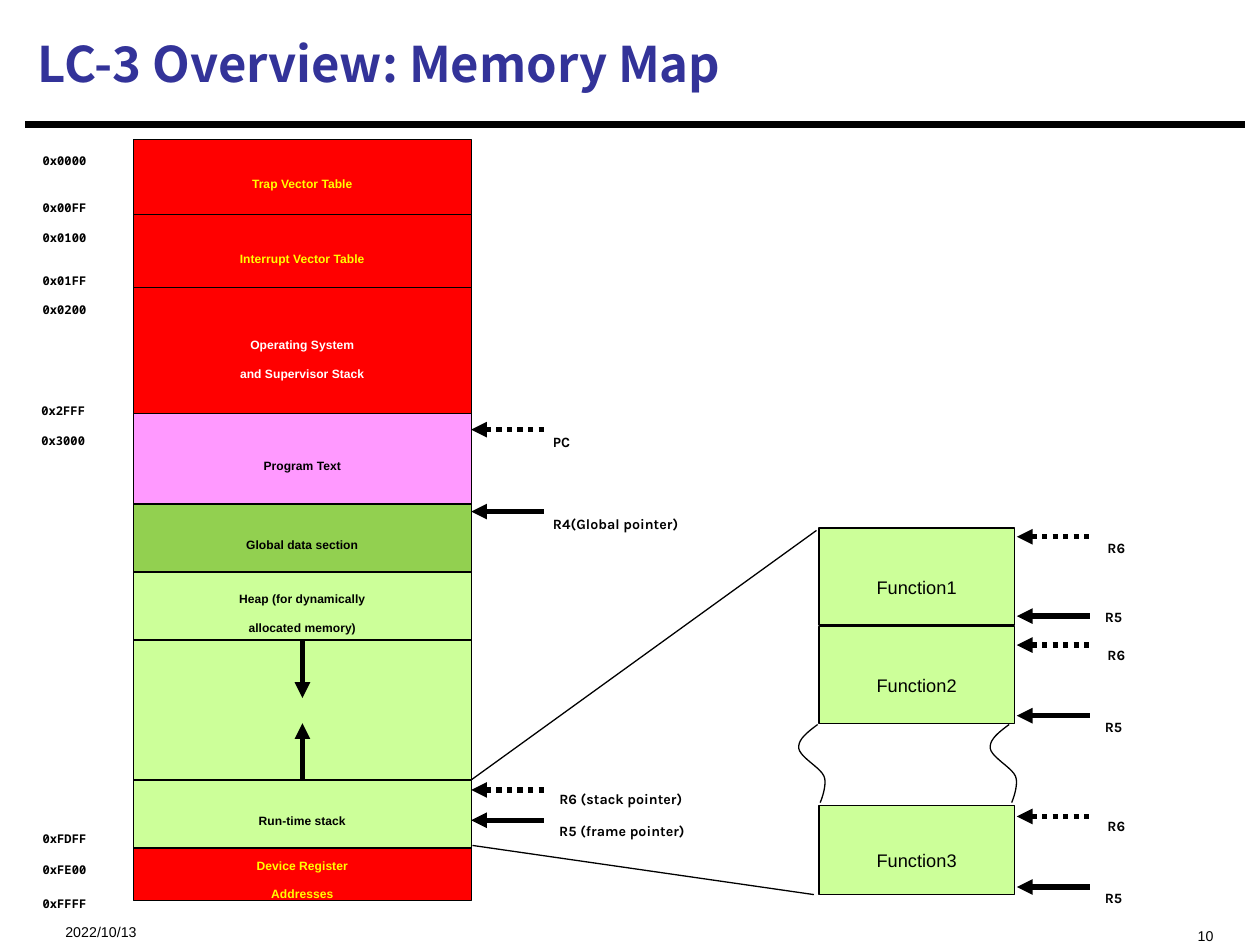
"""Build the LC-3 memory map slide."""
from lxml.etree import SubElement
from pptx import Presentation
from pptx.dml.color import RGBColor
from pptx.enum.dml import MSO_LINE
from pptx.enum.shapes import MSO_CONNECTOR, MSO_SHAPE
from pptx.enum.text import MSO_ANCHOR, MSO_AUTO_SIZE, PP_ALIGN
from pptx.oxml.ns import qn
from pptx.util import Inches, Pt

BLACK, RED, YELLOW, LIME = "000000", "FF0000", "FFFF00", "CCFF99"
rgb = RGBColor.from_string

prs = Presentation()
prs.slide_width, prs.slide_height = Inches(10), Inches(7.5)
s = prs.slides.add_slide(prs.slide_layouts[5])


def write(sp, text, font, size, color=BLACK, bold=False, align=PP_ALIGN.LEFT, baseline=-25000):
    """Fill a shape with evenly formatted text."""
    tf = sp.text_frame
    tf.text = text
    for p in tf.paragraphs:
        p.alignment = align
        for r in p.runs:
            r.font.name, r.font.size, r.font.bold = font, Pt(size), bold
            r.font.color.rgb = rgb(color)
            if baseline:
                r.font._element.set("baseline", str(baseline))
    return tf


def connect(x1, y1, x2, y2, width=0.75, end=None, dotted=False):
    """Draw a straight line with an optional headEnd or tailEnd triangle."""
    c = s.shapes.add_connector(MSO_CONNECTOR.STRAIGHT, *map(Inches, (x1, y1, x2, y2)))
    c.line.color.rgb, c.line.width = rgb(BLACK), Pt(width)
    if dotted:
        c.line.dash_style = MSO_LINE.ROUND_DOT
    if end:
        SubElement(c.line._get_or_add_ln(), qn("a:" + end), type="triangle")
    SubElement(c._element.spPr, qn("a:effectLst"))
    return c


connect(0.2, 0.99, 9.88, 0.99, 3.75)
title = s.shapes.title
title.left, title.top, title.width, title.height = map(Inches, (0.2, 0.08, 9.67, 0.84))
tf = write(title, "LC-3 Overview: Memory Map", "Noto Sans CJK SC", 28, "333399", True, baseline=0)
tf.vertical_anchor = MSO_ANCHOR.MIDDLE

for x, y, w, text, align in [
    (0.42, 7.15, 2.5, "2022/10/13", PP_ALIGN.LEFT),
    (6.73, 7.18, 3, "10", PP_ALIGN.RIGHT),
]:
    sp = s.shapes.add_textbox(Inches(x), Inches(y), Inches(w), Inches(0.27))
    write(sp, text, "Arial", 14, align=align).word_wrap = True

regions = [
    (5.03, 1.16, LIME, BLACK, ""),
    (6.7, 0.45, RED, YELLOW, "Device Register\nAddresses"),
    (1.11, 0.59, RED, YELLOW, "Trap Vector Table"),
    (1.7, 0.59, RED, YELLOW, "Interrupt Vector Table"),
    (2.28, 1.03, RED, "FFFFFF", "Operating System\nand Supervisor Stack"),
    (6.19, 0.54, LIME, BLACK, "Run-time stack"),
    (3.28, 0.72, "FF99FF", BLACK, "Program Text"),
    (4, 0.54, "92D050", BLACK, "Global data section"),
    (4.54, 0.54, LIME, BLACK, "Heap (for dynamically\nallocated memory)"),
]
frames = [(4.19, 0.77, "Function1"), (4.97, 0.77, "Function2"), (6.39, 0.71, "Function3")]
boxes = [(1.06, y, 2.68, h, fill, color, text, 12, True) for y, h, fill, color, text in regions]
boxes += [(6.5, y, 1.55, h, LIME, BLACK, text, 18, False) for y, h, text in frames]
blocks = {}
for x, y, w, h, fill, color, text, size, bold in boxes:
    sp = s.shapes.add_shape(MSO_SHAPE.RECTANGLE, *map(Inches, (x, y, w, h)))
    sp.shadow.inherit = False
    sp.fill.solid()
    sp.fill.fore_color.rgb = rgb(fill)
    sp.line.color.rgb, sp.line.width = rgb(BLACK), Pt(0.75)
    if text:
        tf = write(sp, text, "Arial", size, color, bold, PP_ALIGN.CENTER)
        tf.vertical_anchor, tf.word_wrap = MSO_ANCHOR.MIDDLE, not bold
    blocks[text] = sp

addresses = [
    (0.24, 1.06, "0x0000"), (0.24, 1.43, "0x00FF"), (0.24, 1.67, "0x0100"),
    (0.24, 2.01, "0x01FF"), (0.24, 2.24, "0x0200"), (0.23, 3.04, "0x2FFF"),
    (0.23, 3.28, "0x3000"), (0.24, 6.44, "0xFDFF"), (0.24, 6.68, "0xFE00"),
    (0.24, 6.95, "0xFFFF"),
]
pointers = [
    (3.74, 3.41, True, 4.29, 3.26, 0.43, "PC"),
    (3.74, 4.06, False, 4.29, 3.91, 1.72, "R4(Global pointer)"),
    (3.74, 6.27, True, 4.34, 6.09, 1.68, "R6 (stack pointer)"),
    (3.74, 6.51, False, 4.34, 6.35, 1.73, "R5 (frame pointer)"),
]
for y, label_y in [(4.26, 4.1), (5.12, 4.95), (6.48, 6.31)]:
    pointers.append((8.07, y, True, 8.69, label_y, 0.49, "R6"))
for y, label_y in [(4.89, 4.65), (5.68, 5.52), (7.04, 6.88)]:
    pointers.append((8.07, y, False, 8.67, label_y, 0.49, "R5"))

labels = [(x, y, 0.81, 0.3, text, "Noto Sans Mono", 12) for x, y, text in addresses]
for x, y, dotted, label_x, label_y, w, text in pointers:
    connect(x, y, x + 0.58, y, 3, "headEnd", dotted)
    labels.append((label_x, label_y, w, 0.34, text, "Karla", 14))
for x, y, w, h, text, font, size in labels:
    sp = s.shapes.add_textbox(*map(Inches, (x, y, w, h)))
    tf = write(sp, text, font, size, bold=True)
    tf.word_wrap, tf.auto_size = False, MSO_AUTO_SIZE.SHAPE_TO_FIT_TEXT

heap_arrow = connect(2.4, 5.09, 2.4, 5.54, 3, "tailEnd")
heap_arrow.begin_connect(blocks["Heap (for dynamically\nallocated memory)"], 2)
stack_arrow = connect(2.4, 6.19, 2.4, 5.74, 3, "tailEnd")
stack_arrow.begin_connect(blocks["Run-time stack"], 0)
connect(3.74, 6.19, 6.48, 4.21)
connect(3.75, 6.71, 6.46, 7.1)

curves = [
    [(6.49, 5.75), (6.41, 5.81), (6.33, 5.87), (6.34, 5.94)],
    [(6.34, 5.94), (6.35, 6.01), (6.51, 6.09), (6.54, 6.16)],
    [(6.54, 6.16), (6.57, 6.23), (6.51, 6.37), (6.51, 6.37)],
]
steps = 10
for dx in (0, 1.52):
    points = []
    for curve in curves:
        for t in [i / steps for i in range(steps + 1)]:
            weights = ((1 - t) ** 3, 3 * t * (1 - t) ** 2, 3 * t * t * (1 - t), t ** 3)
            x, y = (sum(k * v for k, v in zip(weights, axis)) for axis in zip(*curve))
            points.append((Inches(x + dx), Inches(y)))
    fb = s.shapes.build_freeform(*points[0])
    fb.add_line_segments(points[1:], close=False)
    sp = fb.convert_to_shape()
    sp.shadow.inherit = False
    sp.fill.background()
    sp.line.color.rgb, sp.line.width = rgb(BLACK), Pt(0.75)

prs.save("out.pptx")
